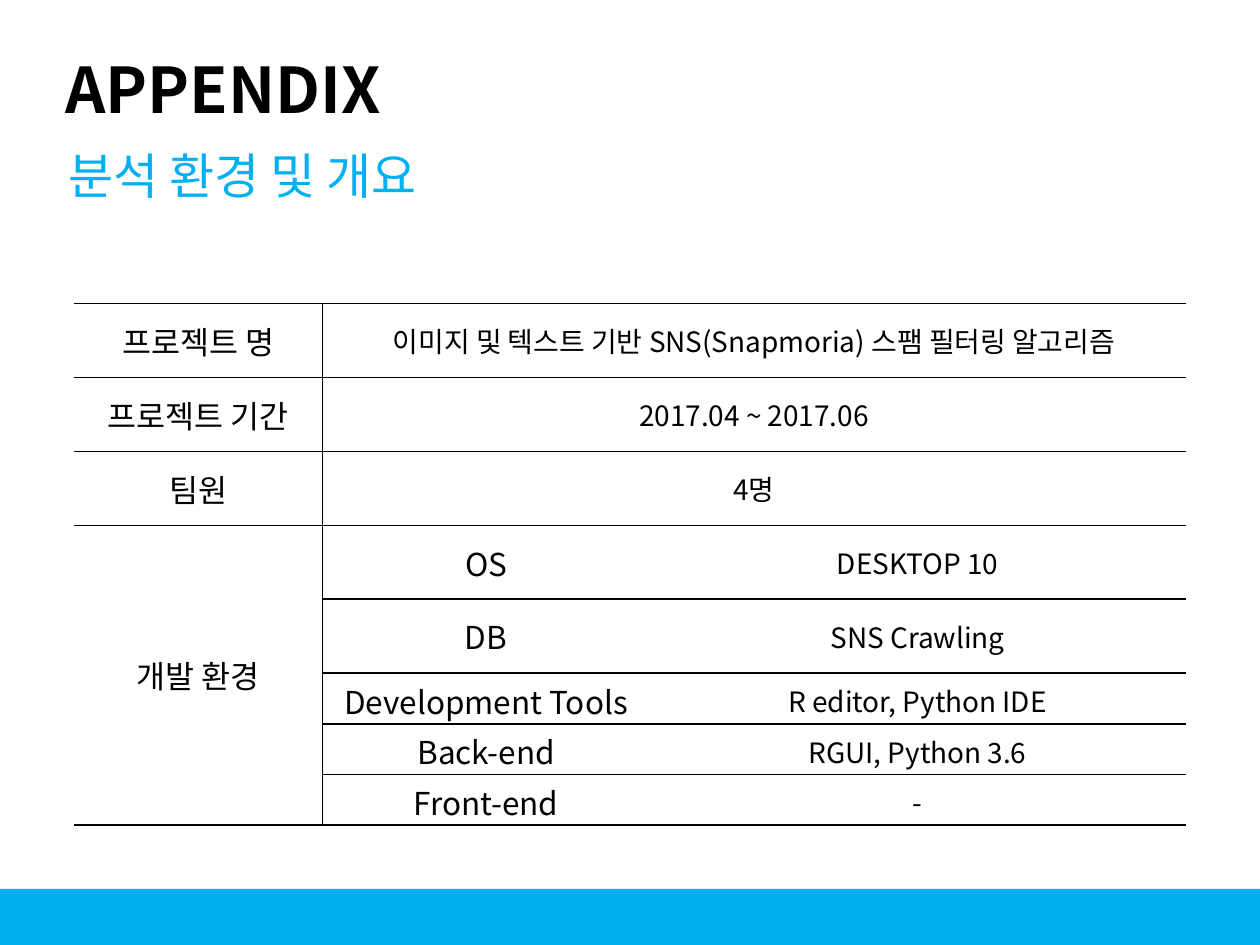
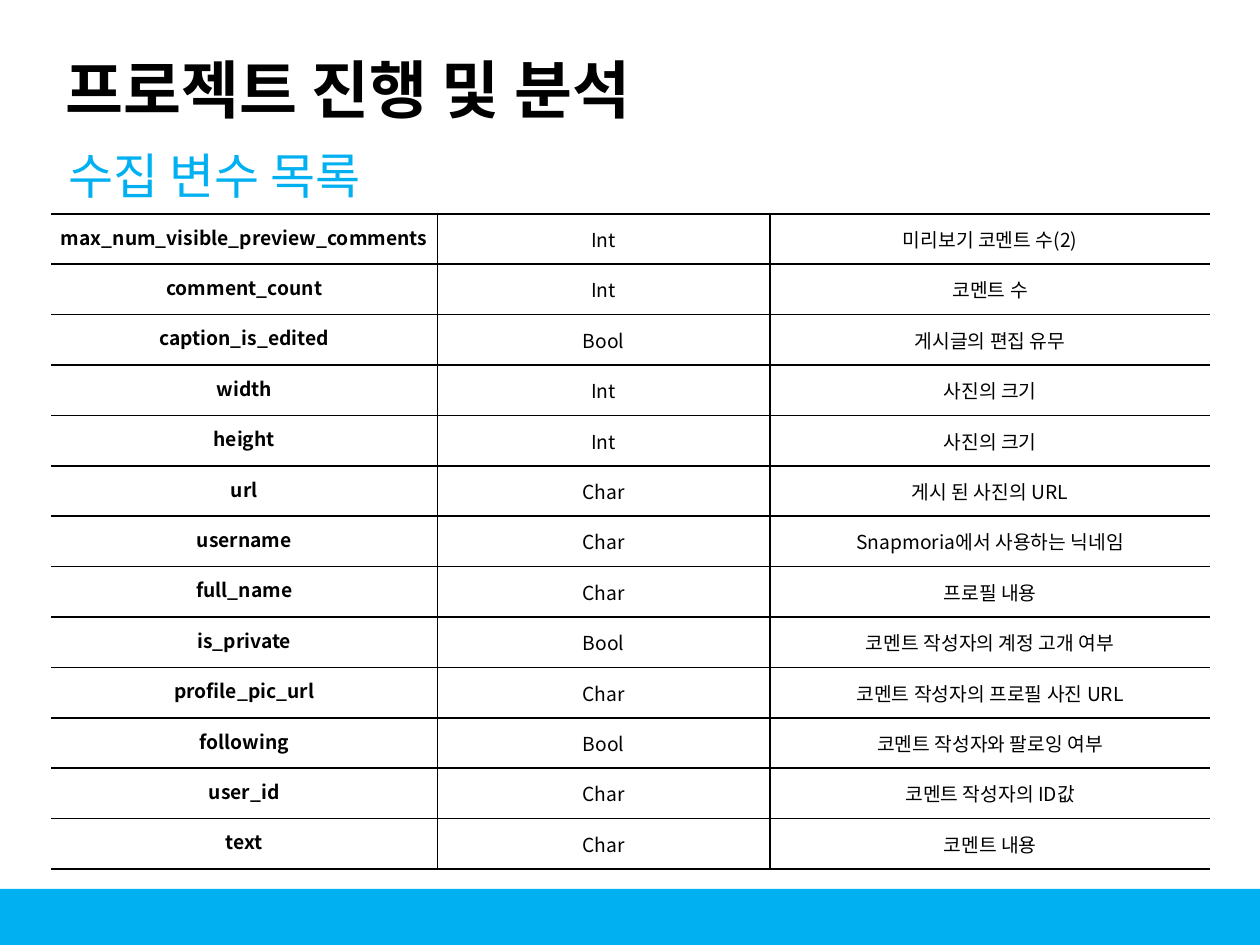
from dataclasses import dataclass

from lxml import etree
from pptx import Presentation
from pptx.dml.color import RGBColor
from pptx.enum import shapes, text
from pptx.oxml.ns import qn
from pptx.util import Cm, Pt


@dataclass(frozen=True)
class Theme:
    font: str = "Noto Sans CJK KR"
    ink: str = "000000"
    accent: str = "00B0F0"
    title: int = 36
    subtitle: int = 28
    label: int = 18
    value: int = 16
    small: int = 11
    rule: int = 1


THEME = Theme()
SLIDE_WIDTH, SLIDE_HEIGHT = 25.4, 19.05
BAND_TOP = 17.92

OVERVIEW = [
    ("프로젝트 명", "이미지 및 텍스트 기반 SNS(Snapmoria) 스팸 필터링 알고리즘"),
    ("프로젝트 기간", "2017.04 ~ 2017.06"),
    ("팀원", "4명"),
]
ENVIRONMENT = [
    ("OS", "DESKTOP 10"),
    ("DB", "SNS Crawling"),
    ("Development Tools", "R editor, Python IDE"),
    ("Back-end", "RGUI, Python 3.6"),
    ("Front-end", "-"),
]
VARIABLES = [
    ("max_num_visible_preview_comments", "Int", "미리보기 코멘트 수(2)"),
    ("comment_count", "Int", "코멘트 수"),
    ("caption_is_edited", "Bool", "게시글의 편집 유무"),
    ("width", "Int", "사진의 크기"),
    ("height", "Int", "사진의 크기"),
    ("url", "Char", "게시 된 사진의 URL"),
    ("username", "Char", "Snapmoria에서 사용하는 닉네임"),
    ("full_name", "Char", "프로필 내용"),
    ("is_private", "Bool", "코멘트 작성자의 계정 고개 여부"),
    ("profile_pic_url", "Char", "코멘트 작성자의 프로필 사진 URL"),
    ("following", "Bool", "코멘트 작성자와 팔로잉 여부"),
    ("user_id", "Char", "코멘트 작성자의 ID값"),
    ("text", "Char", "코멘트 내용"),
]


def add_run(paragraph, words, size, color=THEME.ink, bold=False):
    run = paragraph.add_run()
    run.text = words
    run.font.size = Pt(size)
    run.font.bold = bold
    run.font.color.rgb = RGBColor.from_string(color)
    run.font.name = THEME.font
    east_asian = etree.SubElement(run.font._element, qn("a:ea"))
    east_asian.set("typeface", THEME.font)


def add_band(slide):
    band = slide.shapes.add_shape(
        shapes.MSO_SHAPE.RECTANGLE, 0, Cm(BAND_TOP),
        Cm(SLIDE_WIDTH), Cm(SLIDE_HEIGHT - BAND_TOP))
    band.shadow.inherit = False
    band.fill.solid()
    band.fill.fore_color.rgb = RGBColor.from_string(THEME.accent)
    band.line.fill.background()


def add_headings(slide, title, title_width, subtitle):
    heading = slide.shapes.add_textbox(
        Cm(1.07), Cm(0.89), Cm(title_width), Cm(1.8)).text_frame
    heading.word_wrap = False
    heading.auto_size = text.MSO_AUTO_SIZE.SHAPE_TO_FIT_TEXT
    add_run(heading.paragraphs[0], title, THEME.title, bold=True)

    subheading = slide.shapes.add_textbox(
        Cm(1.14), Cm(2.62), Cm(20), Cm(1.8)).text_frame
    subheading.word_wrap = True
    subheading.vertical_anchor = text.MSO_ANCHOR.MIDDLE
    add_run(subheading.paragraphs[0], subtitle, THEME.subtitle, THEME.accent)


def add_grid(slide, left, top, widths, heights):
    frame = slide.shapes.add_table(
        len(heights), len(widths), Cm(left), Cm(top),
        Cm(sum(widths)), Cm(sum(heights)))
    grid = frame.table
    grid.first_row = grid.horz_banding = False
    for column, width in zip(grid.columns, widths):
        column.width = Cm(width)
    for row, height in zip(grid.rows, heights):
        row.height = Cm(height)
    return grid


def write_cell(cell, words, size, bold=False):
    cell.vertical_anchor = text.MSO_ANCHOR.MIDDLE
    paragraph = cell.text_frame.paragraphs[0]
    paragraph.alignment = text.PP_ALIGN.CENTER
    add_run(paragraph, words, size, bold=bold)


def set_margins(cell, side, top, bottom):
    cell.margin_left = cell.margin_right = Cm(side)
    cell.margin_top, cell.margin_bottom = Cm(top), Cm(bottom)


def set_borders(cell, visible):
    """Draw the sides named in visible (L, R, T, B) and hide the others."""
    properties = cell._tc.get_or_add_tcPr()
    for side in "LRTB":
        line = etree.SubElement(properties, qn(f"a:ln{side}"))
        if side in visible:
            line.set("w", str(Pt(THEME.rule)))
            fill = etree.SubElement(line, qn("a:solidFill"))
            etree.SubElement(fill, qn("a:srgbClr")).set("val", THEME.ink)
        else:
            etree.SubElement(line, qn("a:noFill"))
    cell.fill.background()


def rule_grid(grid, dividers, tall_cell_top=None):
    """Rule every row, and a vertical after each column in dividers.

    The first column is one tall cell from tall_cell_top down, if given.
    """
    last_row = len(grid.rows) - 1
    for r in range(last_row + 1):
        for c in range(len(grid.columns)):
            covered = c == 0 and tall_cell_top is not None and r > tall_cell_top
            visible = "" if covered else "TB"
            if covered and r == last_row:
                visible = "B"
            if c in dividers:
                visible += "R"
            if c - 1 in dividers:
                visible += "L"
            set_borders(grid.cell(r, c), visible)


def add_overview_table(slide):
    tall, short = 1.49, 1.02
    heights = [tall] * 5 + [short] * 3
    grid = add_grid(slide, 1.5, 6.12, [5, 6.6, 2.1, 8.7], heights)
    first_tool = len(OVERVIEW)
    rule_grid(grid, {0}, first_tool)

    for r, (label, value) in enumerate(OVERVIEW):
        grid.cell(r, 1).merge(grid.cell(r, 3))
        write_cell(grid.cell(r, 0), label, THEME.label)
        write_cell(grid.cell(r, 1), value, THEME.value)

    grid.cell(first_tool, 0).merge(grid.cell(len(heights) - 1, 0))
    write_cell(grid.cell(first_tool, 0), "개발 환경", THEME.label)
    for r, (label, value) in enumerate(ENVIRONMENT, first_tool):
        grid.cell(r, 2).merge(grid.cell(r, 3))
        write_cell(grid.cell(r, 1), label, THEME.label)
        write_cell(grid.cell(r, 2), value, THEME.value)
        if heights[r] == short:
            for c in (1, 2, 3):
                set_margins(grid.cell(r, c), 0.25, 0.08, 0)


def add_variable_table(slide):
    row_height = 13.21 / len(VARIABLES)
    grid = add_grid(slide, 1.03, 4.31, [7.79, 6.7, 8.88],
                    [row_height] * len(VARIABLES))
    rule_grid(grid, {0, 1})
    for r, variable in enumerate(VARIABLES):
        for c, words in enumerate(variable):
            write_cell(grid.cell(r, c), words, THEME.small, bold=c == 0)
        set_margins(grid.cell(r, 0), 0.03, 0.03, 0.13)


def main():
    deck = Presentation()
    deck.slide_width, deck.slide_height = Cm(SLIDE_WIDTH), Cm(SLIDE_HEIGHT)
    pages = [
        ("APPENDIX", 6.91, "분석 환경 및 개요", add_overview_table),
        ("프로젝트 진행 및 분석", 13.41, "수집 변수 목록", add_variable_table),
    ]
    for title, title_width, subtitle, add_content in pages:
        slide = deck.slides.add_slide(deck.slide_layouts[6])
        add_band(slide)
        add_content(slide)
        add_headings(slide, title, title_width, subtitle)
    deck.save("out.pptx")


if __name__ == "__main__":
    main()
